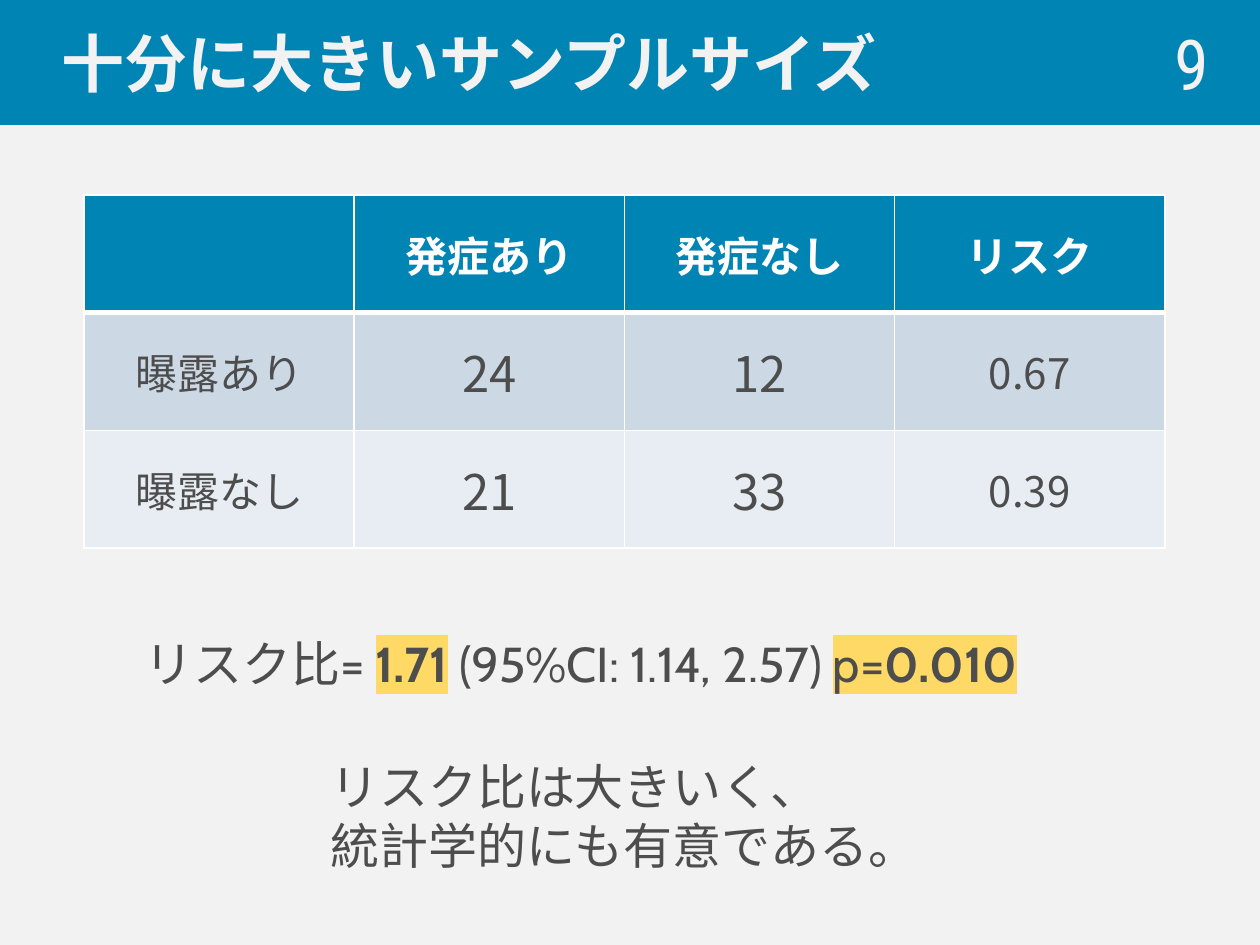
from lxml import etree
from pptx import Presentation
from pptx.dml.color import RGBColor
from pptx.enum.text import MSO_ANCHOR, MSO_AUTO_SIZE, PP_ALIGN
from pptx.oxml.ns import qn
from pptx.util import Emu, Pt

LEFT, CENTER, RIGHT = PP_ALIGN.LEFT, PP_ALIGN.CENTER, PP_ALIGN.RIGHT
MIDDLE, TOP = MSO_ANCHOR.MIDDLE, MSO_ANCHOR.TOP

COLORS = {
    "background": "F2F2F2", "blue": "0084B4", "white": "FFFFFF",
    "text": "4D4D4D", "exposed": "CCD9E5", "unexposed": "E7EDF2",
    "highlight": "FFD966",
}
JAPANESE, BODY, NUMBER = "Noto Sans CJK JP", "Cabin", "Roboto Condensed"

TITLE = "十分に大きいサンプルサイズ"
SLIDE_NUMBER = "9"
TABLE = [
    ["", "発症あり", "発症なし", "リスク"],
    ["曝露あり", "24", "12", "0.67"],
    ["曝露なし", "21", "33", "0.39"],
]
ROW_FILLS = ["blue", "exposed", "unexposed"]
COLUMN_SIZES = [24, 28, 28, 24]
# (text, bold, highlighted)
RISK_RATIO = [
    ("リスク比= ", False, False),
    ("1.71", True, True),
    (" (95%CI: 1.14, 2.57) ", False, False),
    ("p=", False, True),
    ("0.010", True, True),
]
CONCLUSION = ["リスク比は大きいく、", "統計学的にも有意である。"]

# left, top, width, height in px
SLIDE_SIZE = (1260, 945)
TITLE_BOX = (0, 0, 1260, 124)
NUMBER_BOX = (978, 24, 243, 77)
TABLE_BOX = (84, 195, 1081, 353)
RATIO_BOX = (132, 627, 985, 72)
CONCLUSION_BOX = (318, 750, 625, 131)


def px(*lengths):
    return [Emu(round(length * 914400 / 126)) for length in lengths]


def color(name):
    return RGBColor.from_string(COLORS[name])


def add_run(paragraph, text, size, font, color_name, bold=False, highlighted=False):
    run = paragraph.add_run()
    run.text = text
    run.font.size = Pt(size)
    run.font.bold = bold
    run.font.color.rgb = color(color_name)
    properties = run.font._element
    if highlighted:
        highlight = etree.SubElement(properties, qn("a:highlight"))
        etree.SubElement(highlight, qn("a:srgbClr"), val=COLORS["highlight"])
    run.font.name = font
    etree.SubElement(properties, qn("a:ea"), typeface=JAPANESE)


def add_text_box(slide, box, anchor=TOP, wrap=True):
    frame = slide.shapes.add_textbox(*px(*box)).text_frame
    frame.word_wrap = wrap
    frame.vertical_anchor = anchor
    return frame.paragraphs[0]


def add_borders(cell, top, bottom):
    """Draw white borders; top and bottom are widths in points."""
    properties = cell._tc.get_or_add_tcPr()
    for side, width in (("L", 1), ("R", 1), ("T", top), ("B", bottom)):
        line = etree.SubElement(properties, qn(f"a:ln{side}"), w=str(Pt(width)))
        fill = etree.SubElement(line, qn("a:solidFill"))
        etree.SubElement(fill, qn("a:srgbClr"), val=COLORS["white"])


def fill_title(slide):
    title = slide.shapes.title
    title.left, title.top, title.width, title.height = px(*TITLE_BOX)
    title.fill.solid()
    title.fill.fore_color.rgb = color("blue")
    title.line.color.rgb = color("blue")
    title.line.width = Pt(1.5)
    frame = title.text_frame
    frame.auto_size = MSO_AUTO_SIZE.NONE
    frame.vertical_anchor = MIDDLE
    paragraph = frame.paragraphs[0]
    paragraph.alignment = LEFT
    properties = paragraph._p.get_or_add_pPr()
    properties.set("marL", str(px(49)[0]))
    properties.set("indent", "0")
    add_run(paragraph, TITLE, 36, JAPANESE, "background", bold=True)


def add_risk_table(slide):
    table = slide.shapes.add_table(len(TABLE), len(TABLE[0]), *px(*TABLE_BOX)).table
    for row, texts in enumerate(TABLE):
        header = row == 0
        for column, text in enumerate(texts):
            cell = table.cell(row, column)
            add_borders(cell, top=3 if row == 1 else 1, bottom=3 if header else 1)
            cell.fill.solid()
            cell.fill.fore_color.rgb = color(ROW_FILLS[row])
            cell.vertical_anchor = MIDDLE
            if text:
                paragraph = cell.text_frame.paragraphs[0]
                paragraph.alignment = CENTER
                size = 24 if header else COLUMN_SIZES[column]
                add_run(paragraph, text, size, JAPANESE,
                        "white" if header else "text", bold=header)


def main():
    presentation = Presentation()
    presentation.slide_width, presentation.slide_height = px(*SLIDE_SIZE)
    slide = presentation.slides.add_slide(presentation.slide_layouts[5])
    slide.background.fill.solid()
    slide.background.fill.fore_color.rgb = color("background")

    fill_title(slide)
    number = add_text_box(slide, NUMBER_BOX, anchor=MIDDLE)
    number.alignment = RIGHT
    add_run(number, SLIDE_NUMBER, 40, NUMBER, "background")

    add_risk_table(slide)

    ratio = add_text_box(slide, RATIO_BOX, wrap=False)
    for text, bold, highlighted in RISK_RATIO:
        add_run(ratio, text, 28, BODY, "text", bold, highlighted)

    conclusion = add_text_box(slide, CONCLUSION_BOX)
    for index, text in enumerate(CONCLUSION):
        if index:
            conclusion.add_line_break()
        add_run(conclusion, text, 28, BODY, "text")

    presentation.save("out.pptx")


if __name__ == "__main__":
    main()
